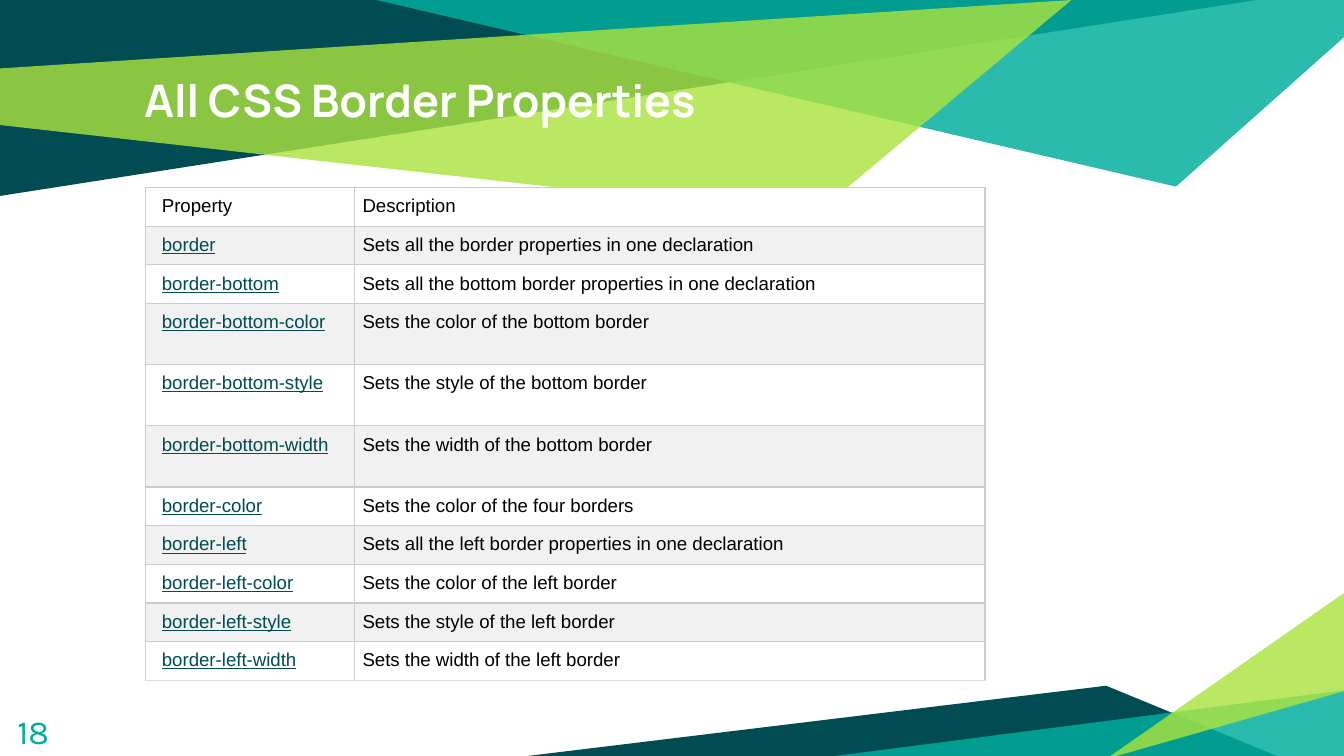
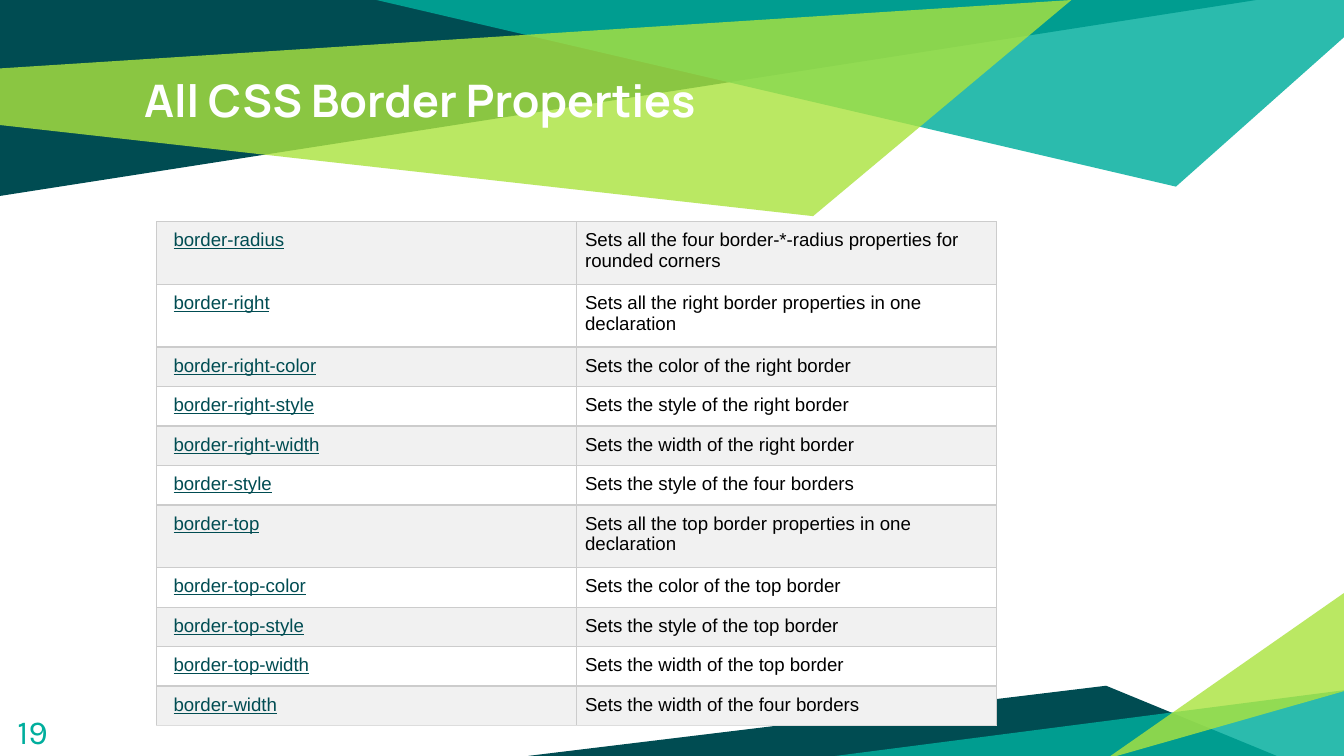
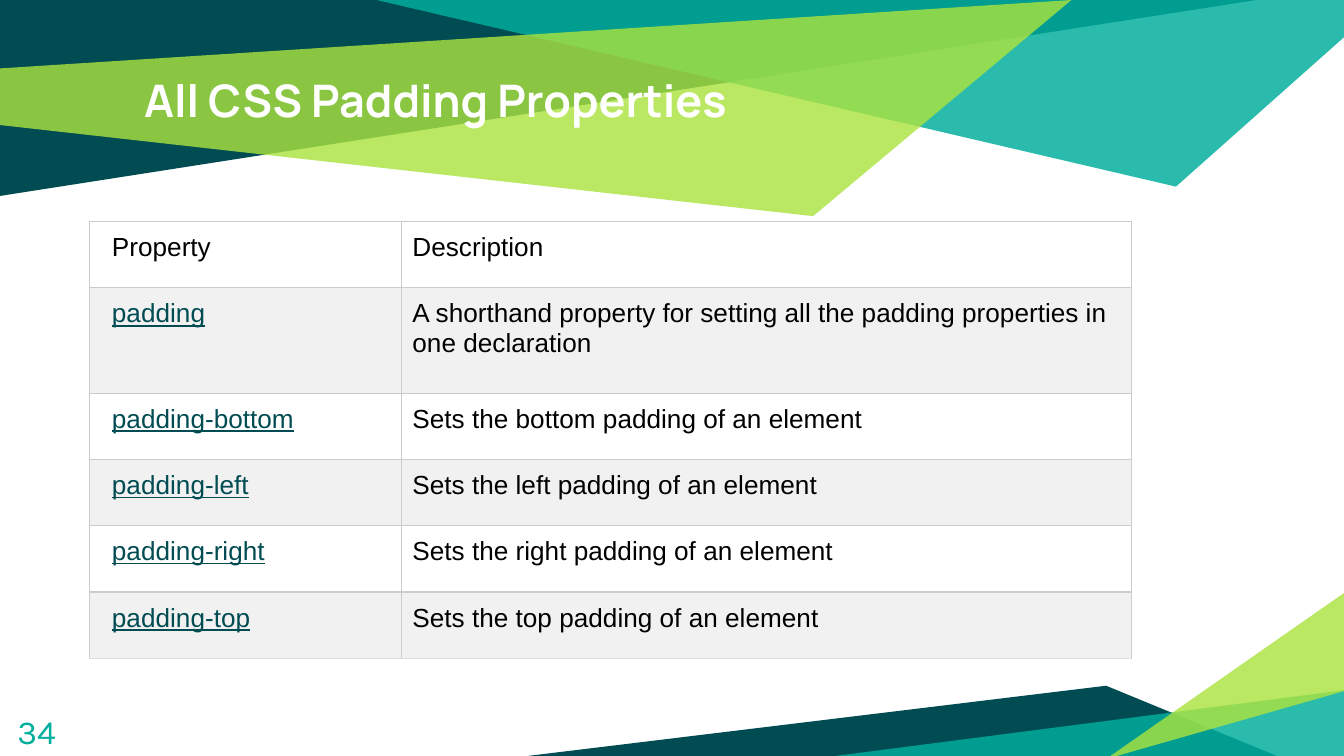
"""Build three slides that list the CSS border and padding properties."""
from dataclasses import dataclass

from lxml import etree
from pptx import Presentation
from pptx.dml.color import RGBColor
from pptx.enum import text as t
from pptx.oxml.ns import qn
from pptx.util import Pt

DEEP_TEAL = RGBColor(0x00, 0x4C, 0x52)
TEAL = RGBColor(0x00, 0xAE, 0x9D)
LIME = RGBColor(0xAB, 0xE3, 0x3F)
WHITE = RGBColor(0xFF, 0xFF, 0xFF)
BLACK = RGBColor(0x00, 0x00, 0x00)
STRIPE = RGBColor(0xF1, 0xF1, 0xF1)
RULE = RGBColor(0xCC, 0xCC, 0xCC)
LAST_RULE = RGBColor(0xDD, 0xDD, 0xDD)

TITLE_FONT, NUMBER_FONT, TABLE_FONT = "Manrope", "Karla", "Arial"
INSET = 7.2
HEADER = ("Property", "Description")


@dataclass(frozen=True)
class Shard:
    """A coloured polygon of the backdrop, in points."""
    color: RGBColor
    opacity: int
    corners: tuple[tuple[float, float], ...]


@dataclass(frozen=True)
class Reference:
    """A property table: its place, measures and entries, in points."""
    left: float
    top: float
    columns: tuple[float, float]
    row_height: float
    tall_height: float
    tall_rows: tuple[int, ...]
    size: float
    indent: float
    padding: float
    entries: tuple[tuple[str, str], ...]
    has_header: bool = True


@dataclass(frozen=True)
class Page:
    """A slide's title, number and property table."""
    title: str
    number: int
    reference: Reference


SHARDS = (
    Shard(DEEP_TEAL, 100, ((0, 0), (0, 105), (673.2, 0))),
    Shard(TEAL, 83, ((201.6, 0), (630, 100), (720, 20), (720, 0))),
    Shard(LIME, 81, ((-0.5, 36.7), (0, 67), (435.6, 115.8), (574, 0))),
    Shard(DEEP_TEAL, 100, ((283, 405), (684, 405), (592.6, 367.4))),
    Shard(TEAL, 83, ((721.2, 369.6), (721.2, 406.6), (435, 406.6))),
    Shard(LIME, 81, ((721, 370), (721, 317), (592.6, 406.6))),
)

PAGES = (
    Page("All CSS Border Properties", 18, Reference(
        77.75, 100.5, (112, 338), 20.7, 32.8, (3, 4, 5), 10, 9, 4.5, (
            ("border", "Sets all the border properties in one declaration"),
            ("border-bottom", "Sets all the bottom border properties in one declaration"),
            ("border-bottom-color", "Sets the color of the bottom border"),
            ("border-bottom-style", "Sets the style of the bottom border"),
            ("border-bottom-width", "Sets the width of the bottom border"),
            ("border-color", "Sets the color of the four borders"),
            ("border-left", "Sets all the left border properties in one declaration"),
            ("border-left-color", "Sets the color of the left border"),
            ("border-left-style", "Sets the style of the left border"),
            ("border-left-width", "Sets the width of the left border"),
        ))),
    Page("All CSS Border Properties", 19, Reference(
        84, 118.75, (225, 225), 21.15, 33.6, (0, 1, 6), 10, 9, 4.5, (
            ("border-radius", "Sets all the four border-*-radius properties for rounded corners"),
            ("border-right", "Sets all the right border properties in one declaration"),
            ("border-right-color", "Sets the color of the right border"),
            ("border-right-style", "Sets the style of the right border"),
            ("border-right-width", "Sets the width of the right border"),
            ("border-style", "Sets the style of the four borders"),
            ("border-top", "Sets all the top border properties in one declaration"),
            ("border-top-color", "Sets the color of the top border"),
            ("border-top-style", "Sets the style of the top border"),
            ("border-top-width", "Sets the width of the top border"),
            ("border-width", "Sets the width of the four borders"),
        ), has_header=False)),
    Page("All CSS Padding Properties", 34, Reference(
        48, 118.75, (167, 391), 35.5, 56.5, (1,), 14, 12, 6, (
            ("padding", "A shorthand property for setting all the padding properties in one declaration"),
            ("padding-bottom", "Sets the bottom padding of an element"),
            ("padding-left", "Sets the left padding of an element"),
            ("padding-right", "Sets the right padding of an element"),
            ("padding-top", "Sets the top padding of an element"),
        ))),
)


def write(frame, wording: str, *, font: str, size: float, color: RGBColor,
          bold: bool = False, underline: bool = False) -> None:
    """Put one left-aligned, formatted run into a text frame."""
    paragraph = frame.paragraphs[0]
    paragraph.alignment = t.PP_ALIGN.LEFT
    run = paragraph.add_run()
    run.text = wording
    run.font.name = font
    run.font.size = Pt(size)
    run.font.color.rgb = color
    run.font.bold = bold
    run.font.underline = underline


def set_frame(frame) -> None:
    """Give a text frame the shared insets, wrapping and top anchor."""
    frame.margin_left = frame.margin_right = Pt(INSET)
    frame.margin_top = frame.margin_bottom = Pt(INSET)
    frame.word_wrap = True
    frame.auto_size = t.MSO_AUTO_SIZE.NONE
    frame.vertical_anchor = t.MSO_ANCHOR.TOP


def draw_shard(slide, shard: Shard):
    """Draw one backdrop polygon and return it."""
    start, *others = [(Pt(x), Pt(y)) for x, y in shard.corners]
    outline = slide.shapes.build_freeform(*start)
    outline.add_line_segments(others, close=True)
    polygon = outline.convert_to_shape()
    polygon.shadow.inherit = False
    polygon.line.fill.background()
    polygon.fill.solid()
    polygon.fill.fore_color.rgb = shard.color
    if shard.opacity < 100:
        tint = next(polygon.element.iter(qn("a:srgbClr")))
        etree.SubElement(tint, qn("a:alpha"), val=str(shard.opacity * 1000))
    return polygon


def move_backdrop_to_layout(slide, layout) -> None:
    """Draw the backdrop once and hand it to the layout all slides share."""
    for placeholder in list(layout.placeholders):
        if placeholder.placeholder_format.idx:
            layout.shapes.element.remove(placeholder.element)
    for shard in SHARDS:
        layout.shapes.element.append(draw_shard(slide, shard).element)


def rule_cell(cell, bottom: RGBColor) -> None:
    """Draw the four borders of a table cell."""
    properties = cell._tc.get_or_add_tcPr()
    for side, color in (("L", RULE), ("R", RULE), ("T", RULE), ("B", bottom)):
        edge = etree.SubElement(properties, qn(f"a:ln{side}"), w=str(Pt(0.75)))
        fill = etree.SubElement(edge, qn("a:solidFill"))
        etree.SubElement(fill, qn("a:srgbClr"), val=str(color))


def draw_reference(slide, ref: Reference) -> None:
    """Draw a striped property table, with linked-looking names."""
    rows = ((HEADER,) if ref.has_header else ()) + ref.entries
    heights = [ref.tall_height if i in ref.tall_rows else ref.row_height
               for i in range(len(rows))]
    table = slide.shapes.add_table(
        len(rows), 2, Pt(ref.left), Pt(ref.top),
        Pt(sum(ref.columns)), Pt(sum(heights))).table
    table.first_row = table.horz_banding = False
    for column, width in zip(table.columns, ref.columns):
        column.width = Pt(width)
    for i, (wordings, height) in enumerate(zip(rows, heights)):
        table.rows[i].height = Pt(height)
        is_header = ref.has_header and i == 0
        is_striped = i % 2 == int(ref.has_header)
        for j, wording in enumerate(wordings):
            cell = table.cell(i, j)
            cell.margin_left = Pt(ref.padding if j else ref.indent)
            cell.margin_right = cell.margin_top = cell.margin_bottom = Pt(ref.padding)
            rule_cell(cell, LAST_RULE if i == len(rows) - 1 else RULE)
            cell.fill.solid()
            cell.fill.fore_color.rgb = STRIPE if is_striped else WHITE
            is_name = j == 0 and not is_header
            write(cell.text_frame, wording, font=TABLE_FONT, size=ref.size,
                  color=DEEP_TEAL if is_name else BLACK, underline=is_name)


def fill_page(slide, page: Page) -> None:
    """Add the title, number and table of one page."""
    title = slide.shapes.title
    title.left, title.top, title.width, title.height = Pt(70), Pt(31.7), Pt(580), Pt(67.7)
    set_frame(title.text_frame)
    write(title.text_frame, page.title, font=TITLE_FONT, size=24, color=WHITE, bold=True)
    number = slide.shapes.add_textbox(Pt(2.2), Pt(373.7), Pt(43.2), Pt(31))
    set_frame(number.text_frame)
    write(number.text_frame, str(page.number), font=NUMBER_FONT, size=18, color=TEAL)
    draw_reference(slide, page.reference)


def main() -> None:
    """Build and save the presentation."""
    deck = Presentation()
    deck.slide_width, deck.slide_height = Pt(720), Pt(405)
    layout = deck.slide_layouts.get_by_name("Title Only")
    slides = [deck.slides.add_slide(layout) for _ in PAGES]
    move_backdrop_to_layout(slides[0], layout)
    for slide, page in zip(slides, PAGES):
        fill_page(slide, page)
    deck.save("out.pptx")


if __name__ == "__main__":
    main()
